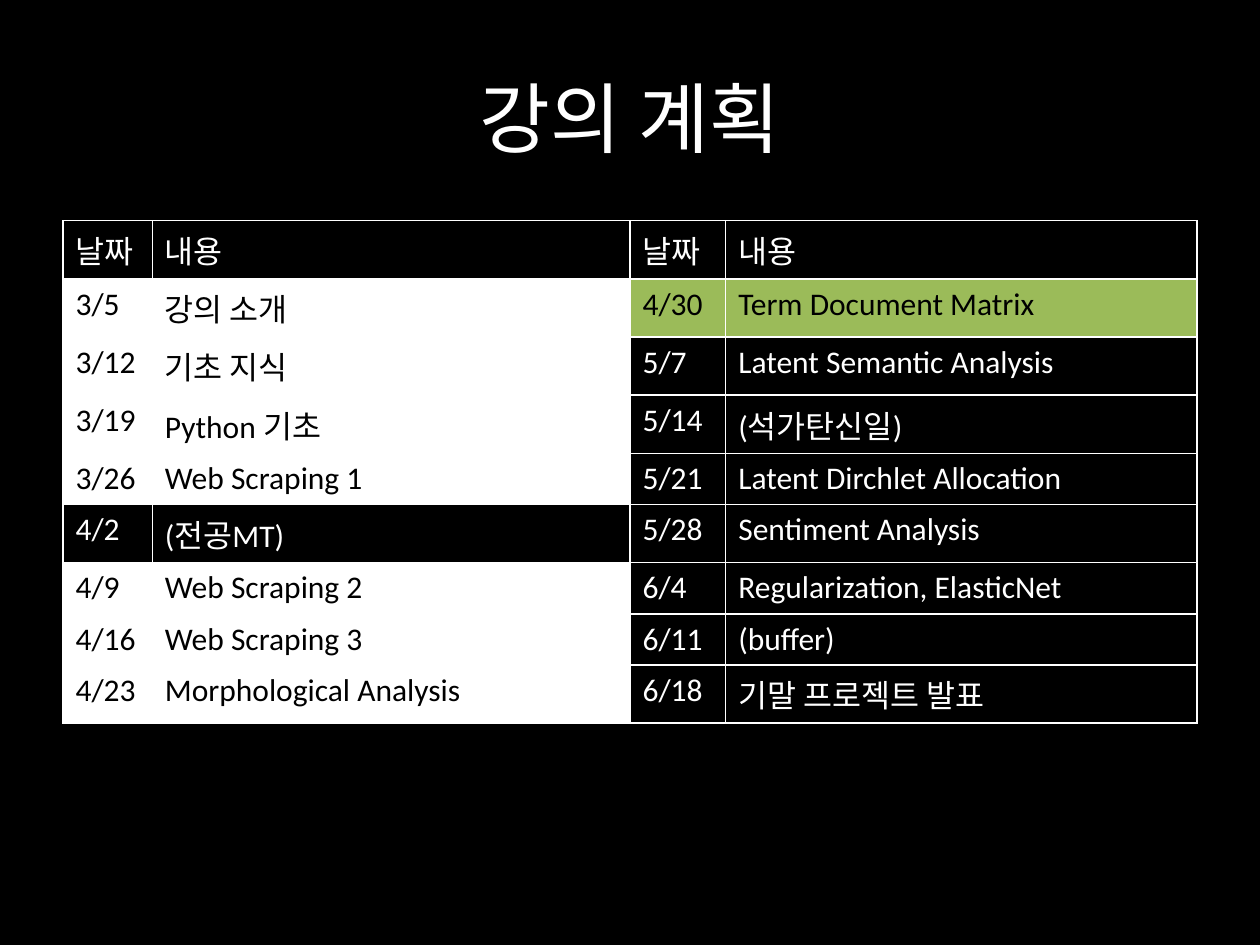
from lxml import etree
from pptx import Presentation
from pptx.dml.color import RGBColor
from pptx.enum.text import MSO_ANCHOR, PP_ALIGN
from pptx.oxml.ns import qn
from pptx.util import Cm, Pt

MIDDLE = MSO_ANCHOR.MIDDLE
CENTER = PP_ALIGN.CENTER
FONT = "Calibri"
BLACK, WHITE, GREEN = "000000", "FFFFFF", "9BBB59"

HEAD = ("날짜", "내용")
PAST = [
    ("3/5", "강의 소개"),
    ("3/12", "기초 지식"),
    ("3/19", "Python 기초"),
    ("3/26", "Web Scraping 1"),
    ("4/2", "(전공MT)"),
    ("4/9", "Web Scraping 2"),
    ("4/16", "Web Scraping 3"),
    ("4/23", "Morphological Analysis"),
]
NEXT = [
    ("4/30", "Term Document Matrix"),
    ("5/7", "Latent Semantic Analysis"),
    ("5/14", "(석가탄신일)"),
    ("5/21", "Latent Dirchlet Allocation"),
    ("5/28", "Sentiment Analysis"),
    ("6/4", "Regularization, ElasticNet"),
    ("6/11", "(buffer)"),
    ("6/18", "기말 프로젝트 발표"),
]
BREAK, TODAY = "4/2", "4/30"
WIDTHS = (1.8, 9.63, 1.93, 9.5)
TALL, LOW = 1.17, 1.03


def color(code):
    return RGBColor.from_string(code)


def write(frame, text, size, ink):
    para = frame.paragraphs[0]
    para.text = text
    para.font.name = FONT
    para.font.size = Pt(size)
    para.font.color.rgb = color(ink)
    return para


def border(cell, ink):
    """Draw a 1 pt line on all four sides; call before the cell is filled."""
    props = cell._tc.get_or_add_tcPr()
    for side in ("a:lnL", "a:lnR", "a:lnT", "a:lnB"):
        line = etree.SubElement(props, qn(side), w=str(Pt(1)))
        fill = etree.SubElement(line, qn("a:solidFill"))
        etree.SubElement(fill, qn("a:srgbClr"), val=ink)


def style(cell, text, fill):
    border(cell, WHITE)
    if fill:
        cell.fill.solid()
        cell.fill.fore_color.rgb = color(fill)
    else:
        cell.fill.background()
    write(cell.text_frame, text, 18, BLACK if fill else WHITE)


def add_title(slide, text, left, top, width, height):
    frame = slide.shapes.add_textbox(left, top, width, height).text_frame
    frame.word_wrap = True
    frame.vertical_anchor = MIDDLE
    write(frame, text, 44, WHITE).alignment = CENTER


def add_plan(slide, left, top, width, height):
    """Place two lists side by side; rows with Hangul are taller."""
    pairs = [HEAD + HEAD] + [a + b for a, b in zip(PAST, NEXT)]
    table = slide.shapes.add_table(
        len(pairs), len(WIDTHS), left, top, width, height).table
    table.first_row = table.horz_banding = False
    for col, share in zip(table.columns, WIDTHS):
        col.width = int(width * share / sum(WIDTHS))
    shares = [LOW if "".join(pair).isascii() else TALL for pair in pairs]
    fills = {date: WHITE for date, _ in PAST if date != BREAK}
    fills[TODAY] = GREEN
    for row, (pair, share) in enumerate(zip(pairs, shares)):
        table.rows[row].height = int(height * share / sum(shares))
        for col, text in enumerate(pair):
            date = pair[col - col % 2]
            style(table.cell(row, col), text, fills.get(date))


def main():
    deck = Presentation()
    deck.slide_width, deck.slide_height = Cm(25.4), Cm(19.05)
    slide = deck.slides.add_slide(deck.slide_layouts[6])
    back = slide.background.fill
    back.solid()
    back.fore_color.rgb = color(BLACK)
    left, width = Cm(1.27), Cm(22.86)
    add_title(slide, "강의 계획", left, Cm(0.76), width, Cm(3.18))
    add_plan(slide, left, Cm(4.45), width, Cm(10.13))
    deck.save("out.pptx")


if __name__ == "__main__":
    main()
